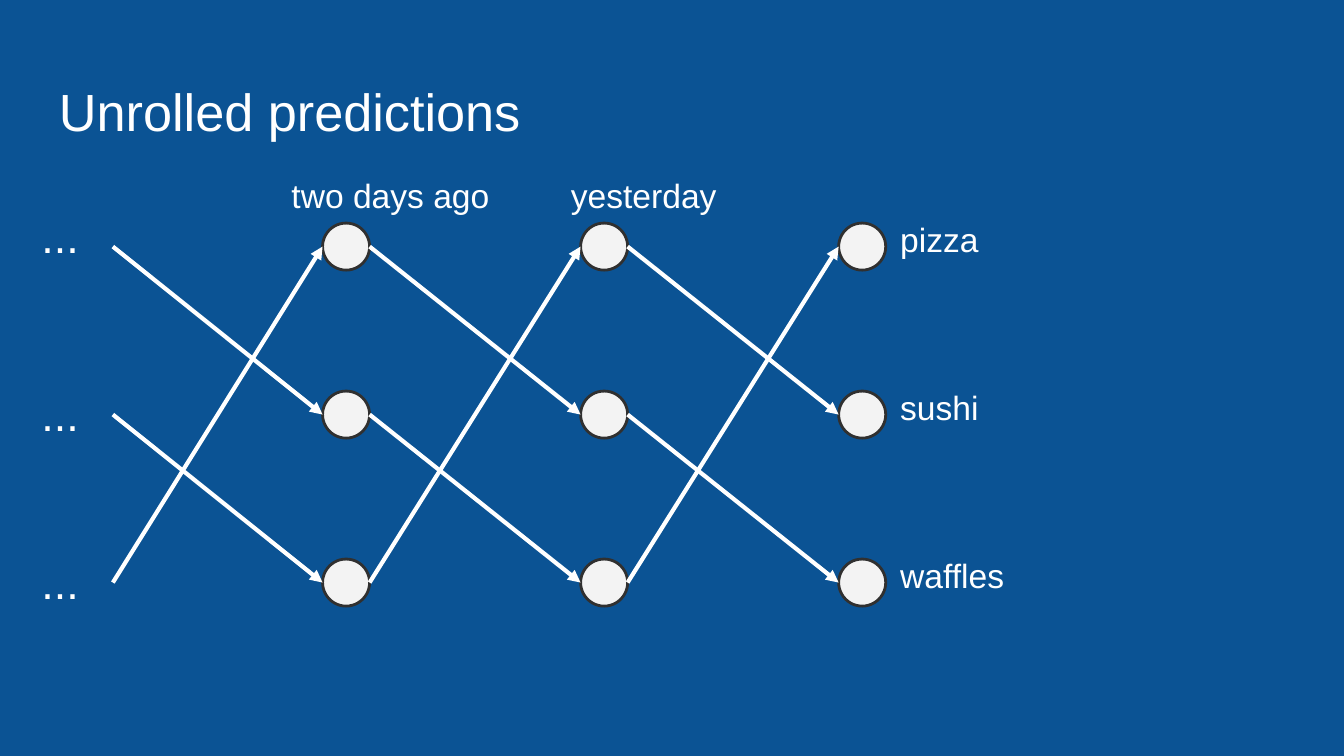
from dataclasses import dataclass

import lxml.etree
import pptx
import pptx.dml.color
import pptx.enum.shapes
import pptx.oxml.ns
import pptx.util
from pptx.util import Inches

COLORS = {"background": "0B5394", "white": "FFFFFF", "node": "F3F3F3", "outline": "303030"}
FONT = "Arial"
DIAMETER = 0.35
COLUMNS = [2.4, 4.32, 6.24]
ROWS = [1.66, 2.91, 4.16]
SOURCE_RIGHT = 0.84


@dataclass
class Label:
    text: str
    left: float
    top: float
    width: float
    height: float = 0.58
    size: int = 18


LABELS = [
    Label("Unrolled predictions", 0.34, 0.49, 9.32, 0.63, 28),
    Label("two days ago", 2.07, 1.2, 1.89),
    Label("yesterday", 4.15, 1.2, 1.44),
    Label("pizza", 6.6, 1.53, 1.16),
    Label("sushi", 6.6, 2.78, 1.16),
    Label("waffles", 6.6, 4.03, 1.16),
    Label("...", 0.21, 1.45, 0.49, size=24),
    Label("...", 0.21, 2.78, 0.49, size=24),
    Label("...", 0.21, 4.03, 0.49, size=24),
]


def rgb(name: str) -> pptx.dml.color.RGBColor:
    return pptx.dml.color.RGBColor.from_string(COLORS[name])


def add_label(s: pptx.slide.Slide, label: Label) -> None:
    box = s.shapes.add_textbox(
        Inches(label.left), Inches(label.top), Inches(label.width), Inches(label.height)
    )
    tf = box.text_frame
    tf.word_wrap = True
    tf.margin_left = tf.margin_right = tf.margin_top = tf.margin_bottom = Inches(0.1)
    p = tf.paragraphs[0]
    p.text = label.text
    p.font.name = FONT
    p.font.size = pptx.util.Pt(label.size)
    p.font.color.rgb = rgb("white")


def add_node(s: pptx.slide.Slide, left: float, top: float) -> None:
    node = s.shapes.add_shape(
        pptx.enum.shapes.MSO_SHAPE.OVAL,
        Inches(left), Inches(top), Inches(DIAMETER), Inches(DIAMETER),
    )
    node.shadow.inherit = False
    node.fill.solid()
    node.fill.fore_color.rgb = rgb("node")
    node.line.color.rgb = rgb("outline")
    node.line.width = pptx.util.Pt(1.5)


def add_arrow(s: pptx.slide.Slide, x1: float, y1: float, x2: float, y2: float) -> None:
    arrow = s.shapes.add_connector(
        pptx.enum.shapes.MSO_CONNECTOR.STRAIGHT,
        Inches(x1), Inches(y1), Inches(x2), Inches(y2),
    )
    arrow.line.color.rgb = rgb("white")
    arrow.line.width = pptx.util.Pt(2.25)
    qn = pptx.oxml.ns.qn
    lxml.etree.SubElement(arrow.line._get_or_add_ln(), qn("a:tailEnd"), type="triangle")
    lxml.etree.SubElement(arrow._element.spPr, qn("a:effectLst"))


def main() -> None:
    prs = pptx.Presentation()
    prs.slide_width, prs.slide_height = Inches(10), Inches(5.625)
    s = prs.slides.add_slide(prs.slide_layouts[6])
    s.background.fill.solid()
    s.background.fill.fore_color.rgb = rgb("background")

    for left in COLUMNS:
        for top in ROWS:
            add_node(s, left, top)

    starts = [SOURCE_RIGHT] + [left + DIAMETER for left in COLUMNS[:-1]]
    centers = [top + DIAMETER / 2 for top in ROWS]
    for start, end in zip(starts, COLUMNS):
        for row, center in enumerate(centers):
            add_arrow(s, start, center, end, centers[(row + 1) % len(centers)])

    for label in LABELS:
        add_label(s, label)

    prs.save("out.pptx")


if __name__ == "__main__":
    main()
